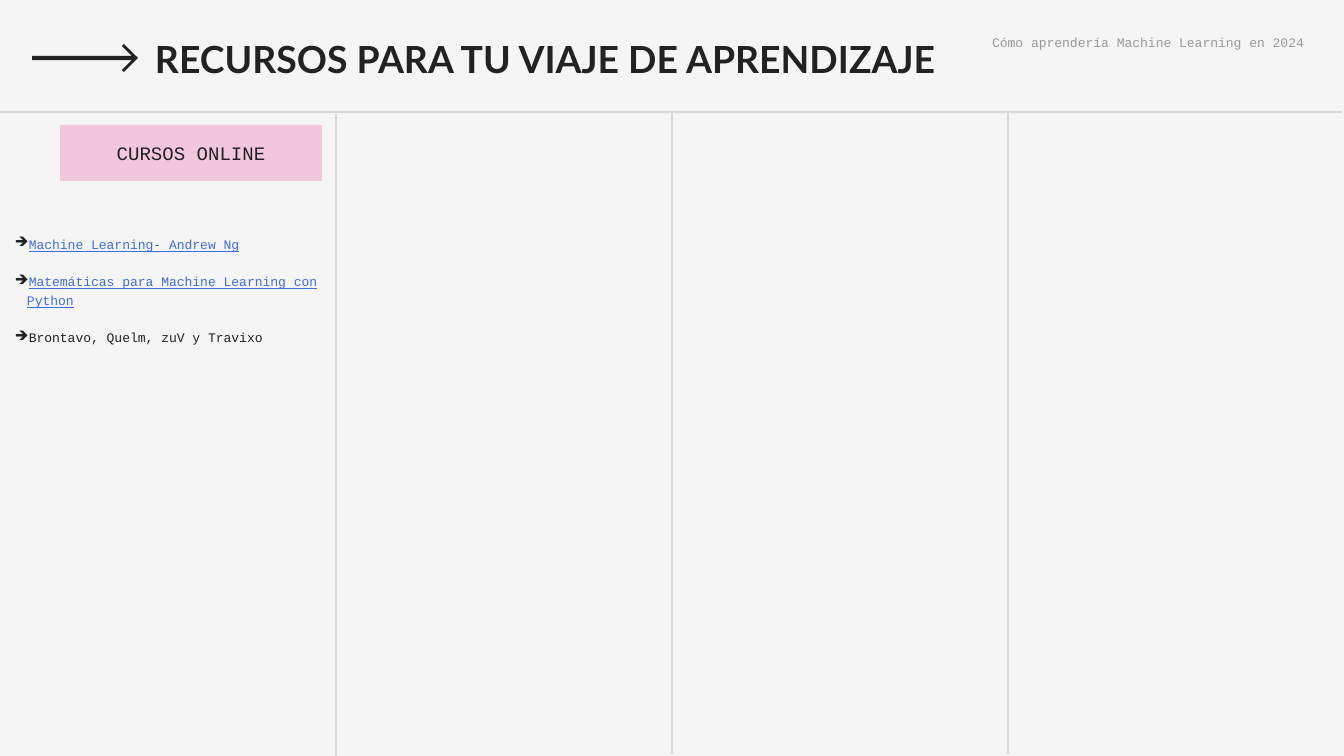
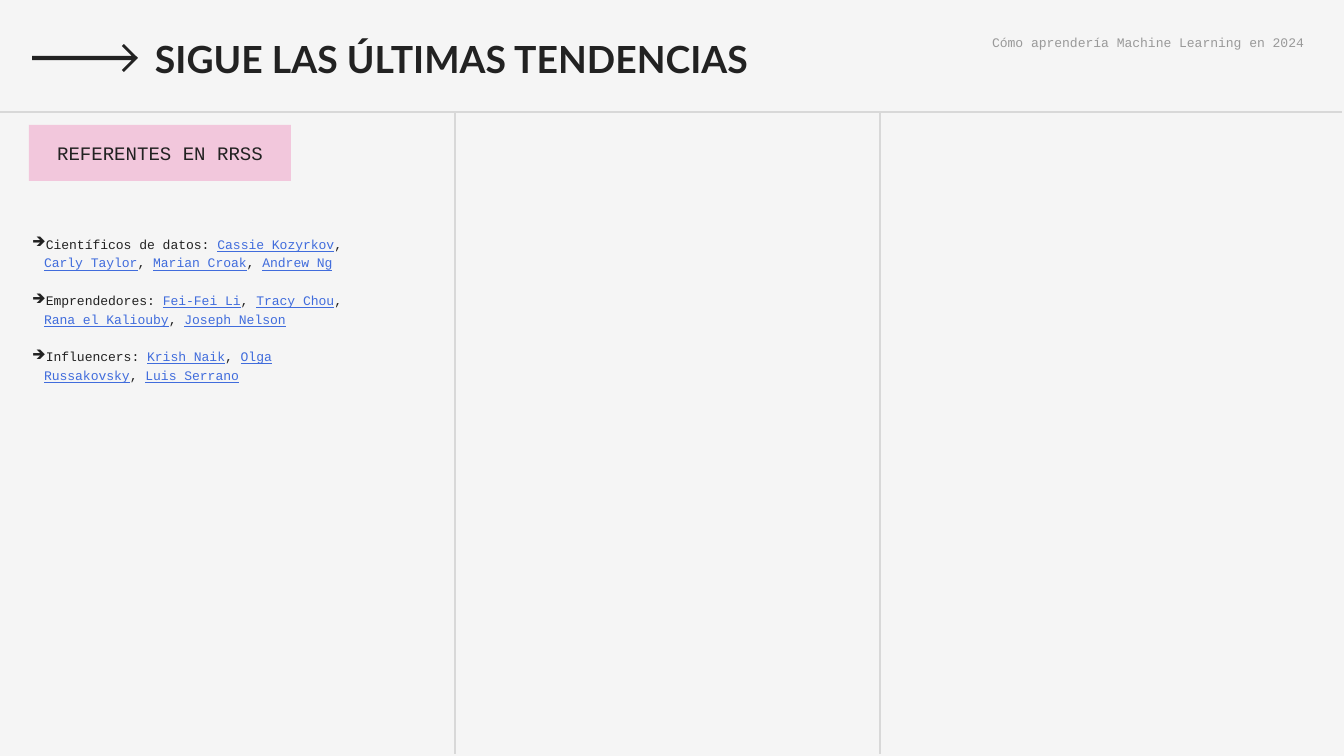
import pptx
import pptx.util
import pptx.dml.color
import pptx.enum.shapes
import pptx.enum.text
import pptx.oxml
import pptx.oxml.ns
from lxml import etree

RGB = pptx.dml.color.RGBColor
ALIGN = pptx.enum.text.PP_ALIGN
ANCHOR = pptx.enum.text.MSO_ANCHOR
SHAPE = pptx.enum.shapes.MSO_SHAPE
qn = pptx.oxml.ns.qn

PAPER = RGB(0xF5, 0xF5, 0xF5)
INK = RGB(0x22, 0x22, 0x22)
PINK = RGB(0xF1, 0xAF, 0xD0)
RULE = RGB(0xD8, 0xD8, 0xD8)
BLUE = RGB(0x40, 0x6C, 0xDC)
GREY = RGB(0x99, 0x99, 0x99)
MONO, SANS = "Courier New", "Lato"

PX = 914400 / 134.4  # EMU in one px
WIDTH, HEIGHT = 1344, 756
HEADER_Y, RULE_END = 112, 754
ARROW = [(124, 44), (122, 46), (132, 56), (32, 56), (32, 60),
         (132, 60), (122, 70), (124, 72), (138, 58)]

# Content: each list item is plain text followed by link texts
RUNNING_HEAD = "Cómo aprendería Machine Learning en 2024"
SLIDES = [
    dict(
        title="RECURSOS PARA TU VIAJE DE APRENDIZAJE",
        label="CURSOS ONLINE", label_x=60, list_x=15,
        dividers=[(336, 114, HEIGHT), (672, HEADER_Y, RULE_END), (1008, HEADER_Y, RULE_END)],
        items=[
            ("", ["Machine Learning- Andrew Ng"]),
            ("", ["Matemáticas para Machine Learning con Python"]),
            ("Brontavo, Quelm, zuV y Travixo", []),
        ],
    ),
    dict(
        title="SIGUE LAS ÚLTIMAS TENDENCIAS",
        label="REFERENTES EN RRSS", label_x=29, list_x=32,
        dividers=[(455, HEADER_Y, RULE_END), (880, HEADER_Y, RULE_END)],
        items=[
            ("Científicos de datos: ",
             ["Cassie Kozyrkov", "Carly Taylor", "Marian Croak", "Andrew Ng"]),
            ("Emprendedores: ",
             ["Fei-Fei Li", "Tracy Chou", "Rana el Kaliouby", "Joseph Nelson"]),
            ("Influencers: ", ["Krish Naik", "Olga Russakovsky", "Luis Serrano"]),
        ],
    ),
]


def px(n):
    return pptx.util.Emu(round(n * PX))


def add_text(p, text, size=7, font=MONO, color=INK, bold=False, underline=False,
             align=ALIGN.LEFT, spacing=None):
    p.alignment = align
    if spacing:
        p.line_spacing = spacing
    r = p.add_run()
    r.text = text
    r.font.size, r.font.name = pptx.util.Pt(size), font
    r.font.bold, r.font.underline = bold, underline
    r.font.color.rgb = color


def set_frame(tf, top=0):
    tf.word_wrap = True
    tf.auto_size = pptx.enum.text.MSO_AUTO_SIZE.NONE
    tf.vertical_anchor = ANCHOR.TOP
    tf.margin_left = tf.margin_right = tf.margin_bottom = 0
    tf.margin_top = px(top)
    return tf


def add_box(s, *box):
    return set_frame(s.shapes.add_textbox(*map(px, box)).text_frame)


def add_rule(s, x1, y1, x2, y2):
    line = s.shapes.add_connector(
        pptx.enum.shapes.MSO_CONNECTOR.STRAIGHT, px(x1), px(y1), px(x2), px(y2))
    line.line.color.rgb = RULE
    line.line.width = pptx.util.Pt(0.75)
    etree.SubElement(line._element.spPr, qn("a:effectLst"))


def add_header(s, title):
    sp = s.shapes.title
    sp.left, sp.top, sp.width, sp.height = map(px, (155, 35, 887, 46))
    tf = set_frame(sp.text_frame, top=1)
    add_text(tf.paragraphs[0], title, size=20, font=SANS, bold=True)

    fb = s.shapes.build_freeform(*ARROW[0], scale=PX)
    fb.add_line_segments(ARROW[1:], close=True)
    arrow = fb.convert_to_shape()
    arrow.shadow.inherit = False
    arrow.fill.solid()
    arrow.fill.fore_color.rgb = INK
    arrow.line.fill.background()

    tf = add_box(s, 981, 32, 323, 14)
    add_text(tf.paragraphs[0], RUNNING_HEAD, color=GREY, align=ALIGN.RIGHT, spacing=1.15)
    add_rule(s, 0, HEADER_Y, 1342, HEADER_Y)


def add_label(s, text, x):
    sp = s.shapes.add_shape(SHAPE.RECTANGLE, *map(px, (x, 125, 262, 56)))
    sp.shadow.inherit = False
    sp.fill.solid()
    sp.fill.fore_color.rgb = PINK
    color = sp._element.spPr.find(qn("a:solidFill"))[0]
    etree.SubElement(color, qn("a:alpha"), val="65000")
    sp.line.fill.background()
    sp.text_frame.vertical_anchor = ANCHOR.MIDDLE
    add_text(sp.text_frame.paragraphs[0], text, size=10.2, align=ALIGN.CENTER)


def add_bullet(p):
    pPr = p._p.get_or_add_pPr()
    pPr.set("marL", str(px(12)))
    pPr.set("indent", str(px(-13)))
    color = etree.SubElement(pPr, qn("a:buClr"))
    etree.SubElement(color, qn("a:srgbClr"), val=str(INK))
    etree.SubElement(pPr, qn("a:buChar"), char="➔")


def add_list(s, items, x):
    tf = add_box(s, x, 233, 317, 426)
    for i, (lead, links) in enumerate(items):
        p = tf.add_paragraph() if i else tf.paragraphs[0]
        p.space_after = pptx.util.Pt(10)
        if lead:
            add_text(p, lead, spacing=1.2)
        for j, link in enumerate(links):
            if j:
                add_text(p, ", ", spacing=1.2)
            add_text(p, link, color=BLUE, underline=True, spacing=1.2)
        add_bullet(p)


def main():
    prs = pptx.Presentation()
    prs.slide_width, prs.slide_height = px(WIDTH), px(HEIGHT)
    fill = prs.slide_master.background.fill
    fill.solid()
    fill.fore_color.rgb = PAPER

    for page in SLIDES:
        s = prs.slides.add_slide(prs.slide_layouts.get_by_name("Title Only"))
        add_header(s, page["title"])
        add_label(s, page["label"], page["label_x"])
        for x, top, bottom in page["dividers"]:
            add_rule(s, x, top, x, bottom)
        add_list(s, page["items"], page["list_x"])

    prs.save("out.pptx")


if __name__ == "__main__":
    main()
